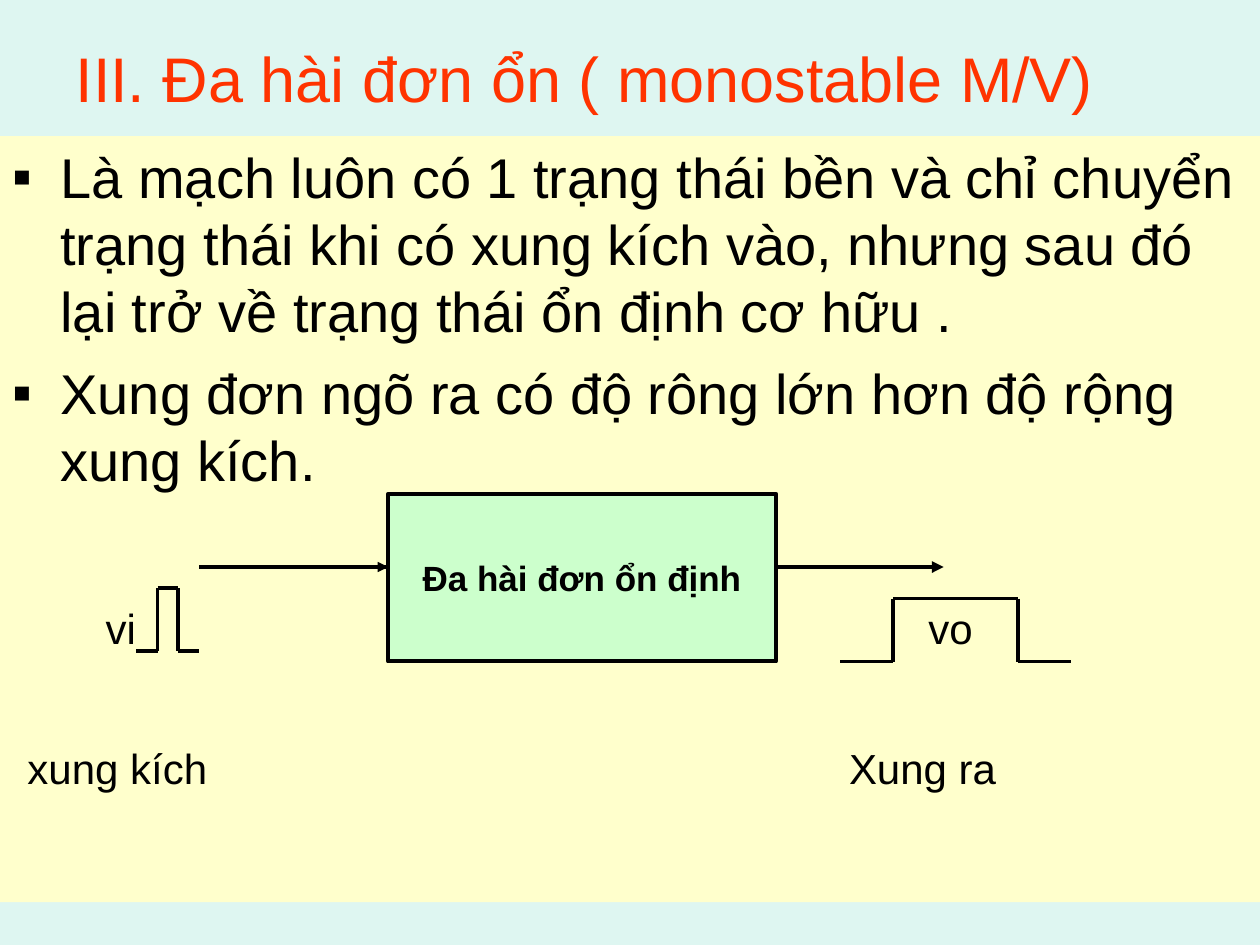
from itertools import pairwise

from lxml import etree
from pptx import Presentation
from pptx.dml.color import RGBColor
from pptx.enum.shapes import MSO_CONNECTOR, MSO_SHAPE
from pptx.enum.text import MSO_ANCHOR, MSO_AUTO_SIZE, PP_ALIGN
from pptx.oxml.ns import qn
from pptx.util import Inches, Pt

STRAIGHT = MSO_CONNECTOR.STRAIGHT
RECTANGLE = MSO_SHAPE.RECTANGLE
MIDDLE, TOP = MSO_ANCHOR.MIDDLE, MSO_ANCHOR.TOP
NO_AUTOFIT = MSO_AUTO_SIZE.NONE
LEFT, CENTER = PP_ALIGN.LEFT, PP_ALIGN.CENTER

BLACK = "000000"
BULLETS = [
    "Là mạch luôn có 1 trạng thái bền và chỉ chuyển trạng thái khi có xung kích vào, "
    "nhưng sau đó lại trở về trạng thái ổn định cơ hữu .",
    "Xung đơn ngõ ra có độ rông lớn hơn độ rộng xung kích.",
]


def color(value):
    """Return the colour for a hex string."""
    return RGBColor.from_string(value)


def place(shape, box):
    """Move a shape to a box given in inches."""
    for name, value in zip(("left", "top", "width", "height"), box):
        setattr(shape, name, Inches(value))


def set_frame(shape, anchor=TOP, wrap=True):
    """Set anchoring, wrapping and fixed size of a shape's text."""
    values = {"vertical_anchor": anchor, "word_wrap": wrap, "auto_size": NO_AUTOFIT}
    for name, value in values.items():
        setattr(shape.text_frame, name, value)


def format_paragraph(paragraph, size, font_color=BLACK, bold=False, alignment=LEFT):
    """Apply font and alignment to a paragraph."""
    paragraph.alignment = alignment
    for name, value in {"name": "Arial", "size": Pt(size), "bold": bold}.items():
        setattr(paragraph.font, name, value)
    paragraph.font.color.rgb = color(font_color)


def add_bullet(paragraph):
    """Give a paragraph a black square bullet with a hanging indent."""
    properties = paragraph._p.get_or_add_pPr()
    properties.set("marL", str(Inches(0.38)))
    properties.set("indent", str(Inches(-0.38)))
    bullet_color = etree.SubElement(properties, qn("a:buClr"))
    etree.SubElement(bullet_color, qn("a:srgbClr"), val=BLACK)
    etree.SubElement(properties, qn("a:buFont"), typeface="Arial")
    etree.SubElement(properties, qn("a:buChar"), char="▪")


def add_line(slide, start, end, width=2.25, arrow=False):
    """Draw a black straight line, with an arrowhead at its end if asked."""
    points = [Inches(value) for value in (*start, *end)]
    connector = slide.shapes.add_connector(STRAIGHT, *points)
    connector.line.color.rgb = color(BLACK)
    connector.line.width = Pt(width)
    if arrow:
        etree.SubElement(connector.line._get_or_add_ln(), qn("a:tailEnd"), type="triangle")
    etree.SubElement(connector._element.spPr, qn("a:effectLst"))


def fill_title(slide, box):
    """Fill the title placeholder."""
    title = slide.shapes.title
    place(title, box)
    title.text_frame.text = "III. Đa hài đơn ổn ( monostable M/V)"
    set_frame(title, MIDDLE)
    format_paragraph(title.text_frame.paragraphs[0], 36, "FF3300")


def fill_body(slide, box):
    """Fill the body placeholder with the bulleted definition."""
    body = slide.placeholders[1]
    place(body, box)
    body.fill.solid()
    body.fill.fore_color.rgb = color("FFFFCC")
    body.text_frame.text = "\n".join(BULLETS)
    set_frame(body)
    for index, paragraph in enumerate(body.text_frame.paragraphs):
        paragraph.space_before = Pt(8 if index else 0)
        add_bullet(paragraph)
        format_paragraph(paragraph, 32)


def add_block(slide, box):
    """Draw the circuit block with its input and output arrows."""
    left, top, width, height = box
    block = slide.shapes.add_shape(RECTANGLE, *[Inches(value) for value in box])
    block.shadow.inherit = False
    block.fill.solid()
    block.fill.fore_color.rgb = color("CCFFCC")
    block.line.color.rgb = color(BLACK)
    block.line.width = Pt(2.25)
    block.text_frame.text = "Đa hài đơn ổn định"
    set_frame(block, MIDDLE, wrap=False)
    format_paragraph(block.text_frame.paragraphs[0], 20, bold=True, alignment=CENTER)

    right, level = left + width, top + 0.58
    add_line(slide, (left - 1.5, level), (left, level))
    add_line(slide, (left - 0.5, level), (left, level), width=0.75, arrow=True)
    add_line(slide, (right, level), (right + 1.33, level), arrow=True)


def add_pulse(slide, box, lead):
    """Draw a pulse in a box, with a lead of the given length on each side."""
    left, top, width, height = box
    right, bottom = left + width, top + height
    points = [
        (left, bottom), (left + lead, bottom), (left + lead, top),
        (right - lead, top), (right - lead, bottom), (right, bottom),
    ]
    for start, end in pairwise(points):
        add_line(slide, start, end)


def add_label(slide, box, text):
    """Add a diagram label."""
    label = slide.shapes.add_textbox(*[Inches(value) for value in box])
    label.text_frame.text = text
    set_frame(label)
    format_paragraph(label.text_frame.paragraphs[0], 24)


def main():
    """Build and save the slide."""
    presentation = Presentation()
    presentation.slide_width, presentation.slide_height = Inches(10), Inches(7.5)
    slide = presentation.slides.add_slide(presentation.slide_layouts[1])
    slide.background.fill.solid()
    slide.background.fill.fore_color.rgb = color("DEF6F1")

    fill_title(slide, (0.5, 0.3, 9, 0.62))
    fill_body(slide, (0, 1.08, 10, 6.08))
    add_block(slide, (3.08, 3.92, 3.08, 1.33))
    add_pulse(slide, (1.08, 4.67, 0.5, 0.5), 0.17)
    add_pulse(slide, (6.67, 4.75, 1.83, 0.5), 0.42)
    labels = [
        (0.74, 4.73, 0.6, "vi"),
        (7.27, 4.73, 0.7, "vo"),
        (0.12, 5.84, 1.8, "xung kích"),
        (6.64, 5.84, 1.6, "Xung ra"),
    ]
    for left, top, width, text in labels:
        add_label(slide, (left, top, width, 0.48), text)
    presentation.save("out.pptx")


if __name__ == "__main__":
    main()
